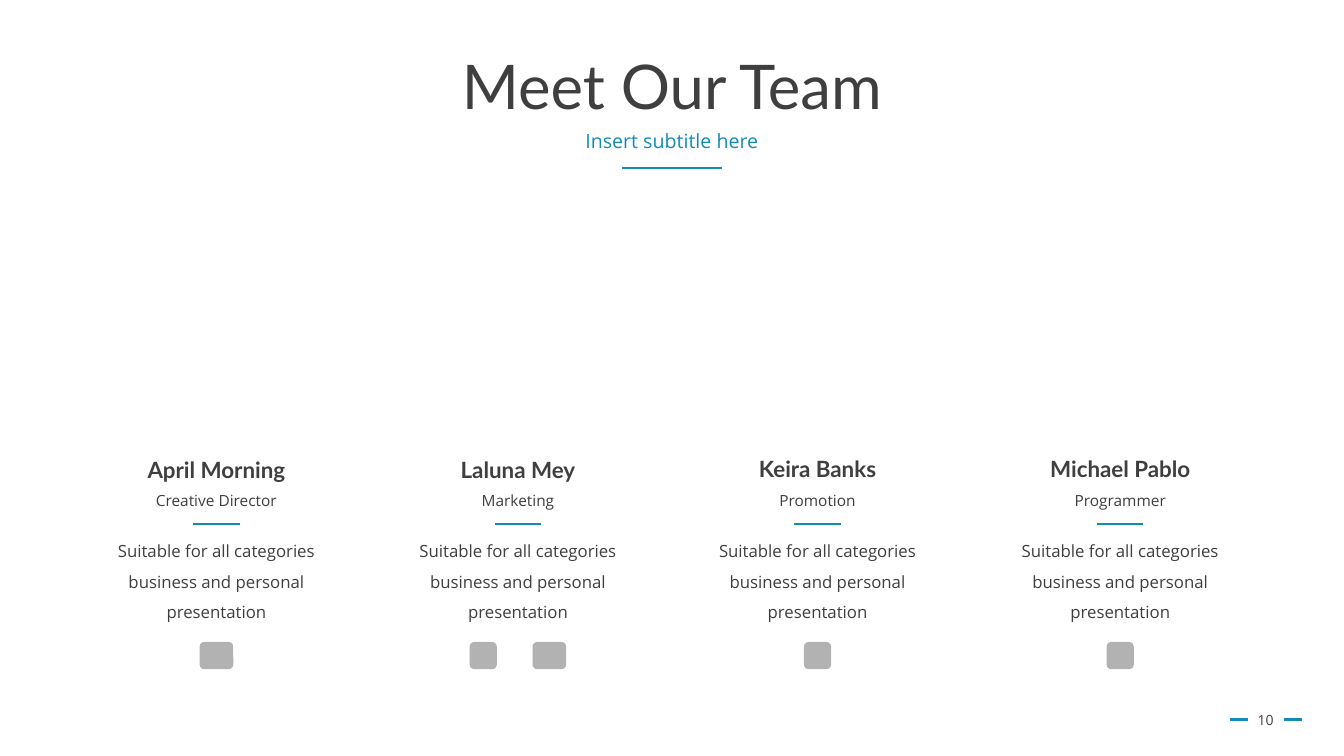
from pptx import Presentation
from pptx.dml.color import RGBColor
from pptx.enum.shapes import MSO_CONNECTOR as Connector, MSO_SHAPE as Shape
from pptx.enum.text import MSO_ANCHOR as Anchor, MSO_AUTO_SIZE as AutoSize, PP_ALIGN as Align
from pptx.oxml import parse_xml
from pptx.oxml.ns import nsdecls
from pptx.util import Pt

COLORS = {"dark": "3F3F3F", "blue": "138BB9", "gray": "B2B2B2"}
TITLE = "Meet Our Team"
SUBTITLE = "Insert subtitle here"
PAGE_NUMBER = "10"
DESCRIPTION = "Suitable for all categories business and personal presentation"

WIDE, SQUARE = 24, 19.4
TEAM = [
    {"name": "April Morning", "role": "Creative Director", "center": 154.6,
     "name_top": 322.6, "icons": [(0, WIDE)]},
    {"name": "Laluna Mey", "role": "Marketing", "center": 370,
     "name_top": 322.6, "icons": [(-24.8, SQUARE), (22.4, WIDE)]},
    {"name": "Keira Banks", "role": "Promotion", "center": 584,
     "name_top": 321.8, "icons": [(0, SQUARE)]},
    {"name": "Michael Pablo", "role": "Programmer", "center": 800.2,
     "name_top": 321.8, "icons": [(0, SQUARE)]},
]

STYLES = {
    "title": {"font": {"name": "Lato", "size": Pt(44), "bold": False}, "color": "dark",
              "para": {"line_spacing": 0.9}, "anchor": Anchor.MIDDLE},
    "subtitle": {"font": {"name": "Open Sans", "size": Pt(14)}, "color": "blue",
                 "para": {"line_spacing": 0.9}, "anchor": Anchor.TOP},
    "name": {"font": {"name": "Lato", "size": Pt(16), "bold": True}, "color": "dark",
             "para": {}, "anchor": Anchor.TOP},
    "role": {"font": {"name": "Open Sans", "size": Pt(11)}, "color": "dark",
             "para": {}, "anchor": Anchor.TOP},
    "description": {"font": {"name": "Open Sans", "size": Pt(12)}, "color": "dark",
                    "para": {"line_spacing": 1.5}, "anchor": Anchor.TOP},
    "number": {"font": {"name": "Open Sans", "size": Pt(10)}, "color": "dark",
               "para": {}, "anchor": Anchor.MIDDLE},
}

HEAD_CENTER, HEAD_WIDTH = 480, 828
NUMBER_CENTER, NUMBER_LINE_OFFSET = 904, 19.3
RULE_WIDTH = 33.2


def rgb(name):
    return RGBColor.from_string(COLORS[name])


def write(box, text, style_name, center, top, width, height):
    style = STYLES[style_name]
    place = {"left": center - width / 2, "top": top, "width": width, "height": height}
    for key, value in place.items():
        setattr(box, key, Pt(value))
    frame = box.text_frame
    frame.text = text
    settings = {"word_wrap": True, "auto_size": AutoSize.NONE,
                "vertical_anchor": style["anchor"]}
    for key, value in settings.items():
        setattr(frame, key, value)
    para = frame.paragraphs[0]
    for key, value in {"alignment": Align.CENTER, **style["para"]}.items():
        setattr(para, key, value)
    span = para.runs[0]
    for key, value in style["font"].items():
        setattr(span.font, key, value)
    span.font.color.rgb = rgb(style["color"])


def add_text(page, *details):
    write(page.shapes.add_textbox(0, 0, 0, 0), *details)


def add_rule(page, center, top, width):
    rule = page.shapes.add_connector(
        Connector.STRAIGHT, Pt(center - width / 2), Pt(top), Pt(center + width / 2), Pt(top))
    rule.line.color.rgb = rgb("blue")
    rule.line.width = Pt(1.75)
    rule._element.spPr.append(parse_xml(f"<a:effectLst {nsdecls('a')}/>"))


def add_icon(page, center, width):
    icon = page.shapes.add_shape(
        Shape.ROUNDED_RECTANGLE, Pt(center - width / 2), Pt(458.6), Pt(width), Pt(SQUARE))
    icon.shadow.inherit = False
    icon.fill.solid()
    icon.fill.fore_color.rgb = rgb("gray")
    icon.line.fill.background()


def add_member(page, member):
    center = member["center"]
    add_text(page, member["name"], "name", center, member["name_top"], 164, 26.6)
    add_text(page, member["role"], "role", center, 347, 164, 20.9)
    add_rule(page, center, 374.4, RULE_WIDTH)
    add_text(page, DESCRIPTION, "description", center, 375.8, 182, 70.6)
    for offset, width in member["icons"]:
        add_icon(page, center + offset, width)


def main():
    deck = Presentation()
    deck.slide_width, deck.slide_height = Pt(960), Pt(540)
    page = deck.slides.add_slide(deck.slide_layouts[5])
    write(page.shapes.title, TITLE, "title", HEAD_CENTER, 28.8, HEAD_WIDTH, 70.6)
    add_text(page, SUBTITLE, "subtitle", HEAD_CENTER, 90.7, HEAD_WIDTH, 28.8)
    add_rule(page, HEAD_CENTER, 120, 71.4)
    for member in TEAM:
        add_member(page, member)
    add_text(page, PAGE_NUMBER, "number", NUMBER_CENTER, 499.7, 42.5, 28.8)
    for side in (-1, 1):
        add_rule(page, NUMBER_CENTER + side * NUMBER_LINE_OFFSET, 514, 12.8)
    deck.save("out.pptx")


if __name__ == "__main__":
    main()
